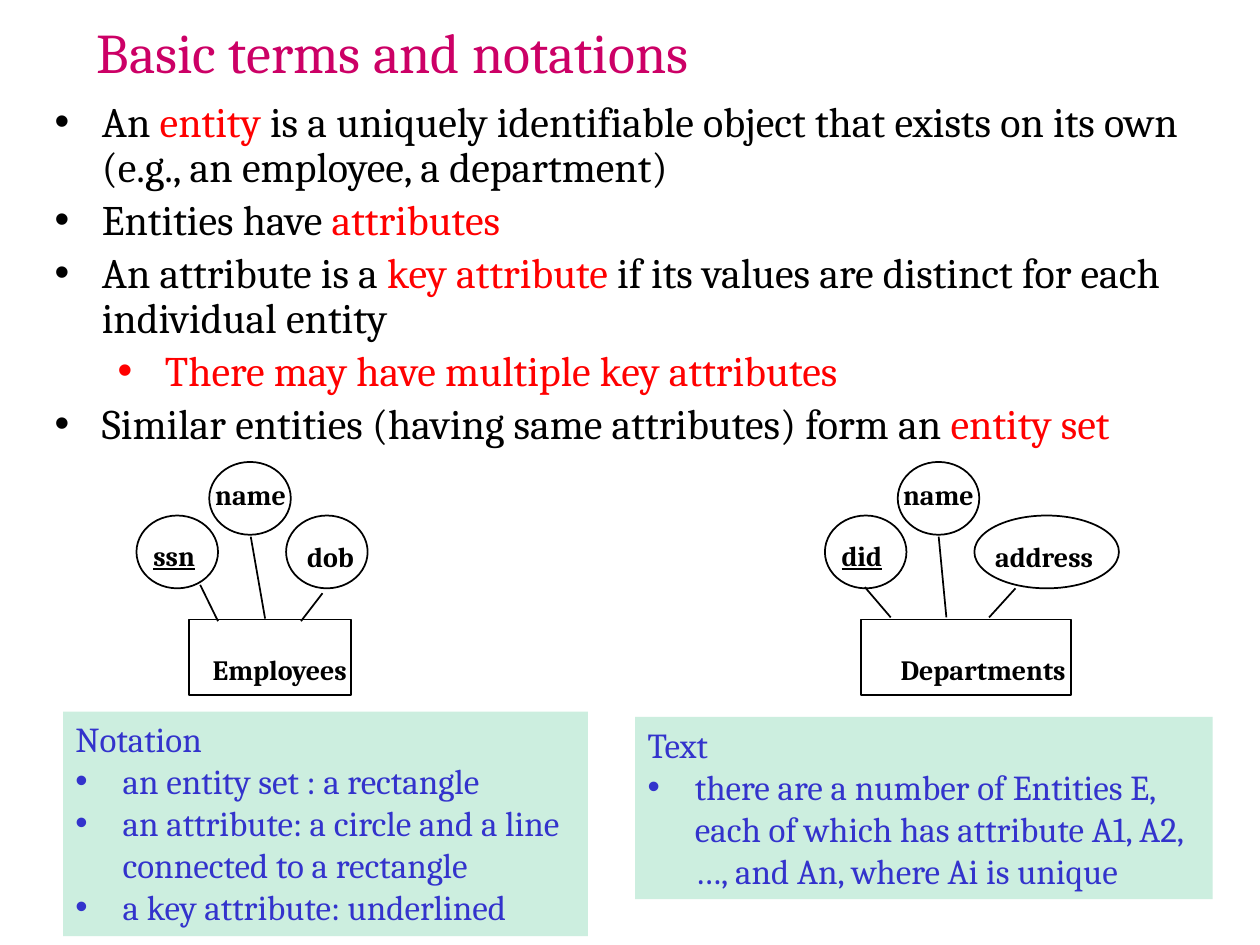
from lxml.etree import SubElement
from pptx import Presentation
from pptx.dml.color import RGBColor
from pptx.enum.shapes import MSO_CONNECTOR, MSO_SHAPE
from pptx.enum.text import MSO_ANCHOR, MSO_AUTO_SIZE, PP_ALIGN
from pptx.oxml.ns import qn
from pptx.util import Pt

BLACK = RGBColor(0x00, 0x00, 0x00)
RED = RGBColor(0xFF, 0x00, 0x00)
MAGENTA = RGBColor(0xCC, 0x00, 0x66)
BLUE = RGBColor(0x33, 0x33, 0xCC)
MINT = RGBColor(0xCC, 0xEE, 0xDF)
FONT = "Cambria"
HANG = 27


def style_run(run, size, color, bold=False, underline=False):
    """Set the font of one run."""
    run.font.name = FONT
    run.font.size = Pt(size)
    run.font.color.rgb = color
    run.font.bold = bold
    run.font.underline = underline


def set_bullet(paragraph, margin):
    """Give a paragraph a round bullet with a hanging indent."""
    props = paragraph._p.get_or_add_pPr()
    props.set("marL", str(Pt(margin)))
    props.set("indent", str(-Pt(HANG)))
    SubElement(props, qn("a:buFont")).set("typeface", "Arial")
    SubElement(props, qn("a:buChar")).set("char", "•")


prs = Presentation()
prs.slide_width, prs.slide_height = Pt(720), Pt(540)
slide = prs.slides.add_slide(prs.slide_layouts[1])
shapes = slide.shapes

# Title
title = shapes.title
title.left, title.top, title.width, title.height = Pt(48), Pt(6), Pt(630), Pt(46)
title.text_frame.text = "Basic terms and notations"
title.text_frame.auto_size = MSO_AUTO_SIZE.NONE
heading = title.text_frame.paragraphs[0]
heading.alignment = PP_ALIGN.LEFT
style_run(heading.runs[0], 32, MAGENTA)

# Definitions: (level, [(text, colour), ...])
definitions = [
    (0, [("An ", BLACK), ("entity ", RED),
         ("is a uniquely identifiable object that exists on its own "
          "(e.g., an employee, a department)", BLACK)]),
    (0, [("Entities have ", BLACK), ("attributes", RED)]),
    (0, [("An attribute is a ", BLACK), ("key attribute ", RED),
         ("if its values are distinct for each individual entity", BLACK)]),
    (1, [("There may have multiple key attributes", RED)]),
    (0, [("Similar entities (having same attributes) form an ", BLACK),
         ("entity set", RED)]),
]
body = slide.placeholders[1]
body.left, body.top, body.width, body.height = Pt(24), Pt(54), Pt(672), Pt(198)
body.text_frame.auto_size = MSO_AUTO_SIZE.NONE
for number, (level, pieces) in enumerate(definitions):
    frame = body.text_frame
    definition = frame.add_paragraph() if number else frame.paragraphs[0]
    definition.level = level
    definition.line_spacing = 0.9
    definition.space_before = Pt(4.3)
    set_bullet(definition, HANG + 36 * level)
    for text, color in pieces:
        run = definition.add_run()
        run.text = text
        style_run(run, 24, color)

# Entity diagrams; labels are (text, left, top, width), lines are (x1, y1, x2, y2)
OVAL, BOX = MSO_SHAPE.OVAL, MSO_SHAPE.RECTANGLE
diagrams = [
    {
        "outlines": [(OVAL, 119.6, 264, 46.6, 41.6), (OVAL, 78, 294.6, 46.6, 41.6),
                     (OVAL, 163.5, 294.6, 46.6, 41.6), (BOX, 108, 354, 92.7, 43)],
        "labels": [("dob", 168.5, 304.6, 44), ("name", 115.9, 269.3, 56),
                   ("Employees", 114.5, 369.4, 98.6), ("ssn", 80.6, 304, 39)],
        "lines": [(114.4, 334.2, 124.6, 355), (143.3, 306.7, 151.5, 353.5),
                  (184.3, 339, 172, 355)],
    },
    {
        "outlines": [(OVAL, 513, 264, 46.6, 41.6), (OVAL, 471.4, 294.6, 46.6, 41.6),
                     (OVAL, 556.8, 294.6, 82.6, 41.6), (BOX, 492, 354, 120, 43)],
        "labels": [("address", 561.6, 304.6, 73.4), ("name", 509, 269.3, 56),
                   ("Departments", 507.6, 369.4, 113), ("did", 473.8, 304, 39)],
        "lines": [(494.2, 335.5, 509, 352.8), (536.4, 306.7, 540.8, 352.8),
                  (580.3, 336.2, 565.2, 352.8)],
    },
]
KEYS = {"ssn", "did"}
for diagram in diagrams:
    for kind, *place in diagram["outlines"]:
        outline = shapes.add_shape(kind, *map(Pt, place))
        outline.shadow.inherit = False
        outline.fill.background()
        outline.line.color.rgb = BLACK
        outline.line.width = Pt(1)
    for text, left, top, width in diagram["labels"]:
        label = shapes.add_textbox(Pt(left), Pt(top), Pt(width), Pt(26))
        label.text_frame.word_wrap = False
        label.text_frame.auto_size = MSO_AUTO_SIZE.SHAPE_TO_FIT_TEXT
        label.text_frame.text = text
        style_run(label.text_frame.paragraphs[0].runs[0], 16, BLACK,
                  bold=True, underline=text in KEYS)
    for ends in diagram["lines"]:
        link = shapes.add_connector(MSO_CONNECTOR.STRAIGHT, *map(Pt, ends))
        link.line.color.rgb = BLACK
        link.line.width = Pt(1)
        SubElement(link._element.spPr, qn("a:effectLst"))

# Summary panels: (left, top, width, height), heading, bullets
panels = [
    ((36, 406.6, 300, 128.4), "Notation",
     ["an entity set : a rectangle",
      "an attribute: a circle and a line connected to a rectangle",
      "a key attribute: underlined"]),
    ((363, 409.7, 330, 104.2), "Text",
     ["there are a number of Entities E, each of which has attribute "
      "A1, A2, …, and An, where Ai is unique"]),
]
for place, heading_text, points in panels:
    panel = shapes.add_shape(BOX, *map(Pt, place))
    panel.shadow.inherit = False
    panel.fill.solid()
    panel.fill.fore_color.rgb = MINT
    panel.line.fill.background()
    frame = panel.text_frame
    frame.word_wrap = True
    frame.vertical_anchor = MSO_ANCHOR.TOP
    frame.text = "\n".join([heading_text, *points])
    for number, paragraph in enumerate(frame.paragraphs):
        paragraph.alignment = PP_ALIGN.LEFT
        style_run(paragraph.runs[0], 20, BLUE)
        if number:
            set_bullet(paragraph, HANG)

prs.save("out.pptx")
